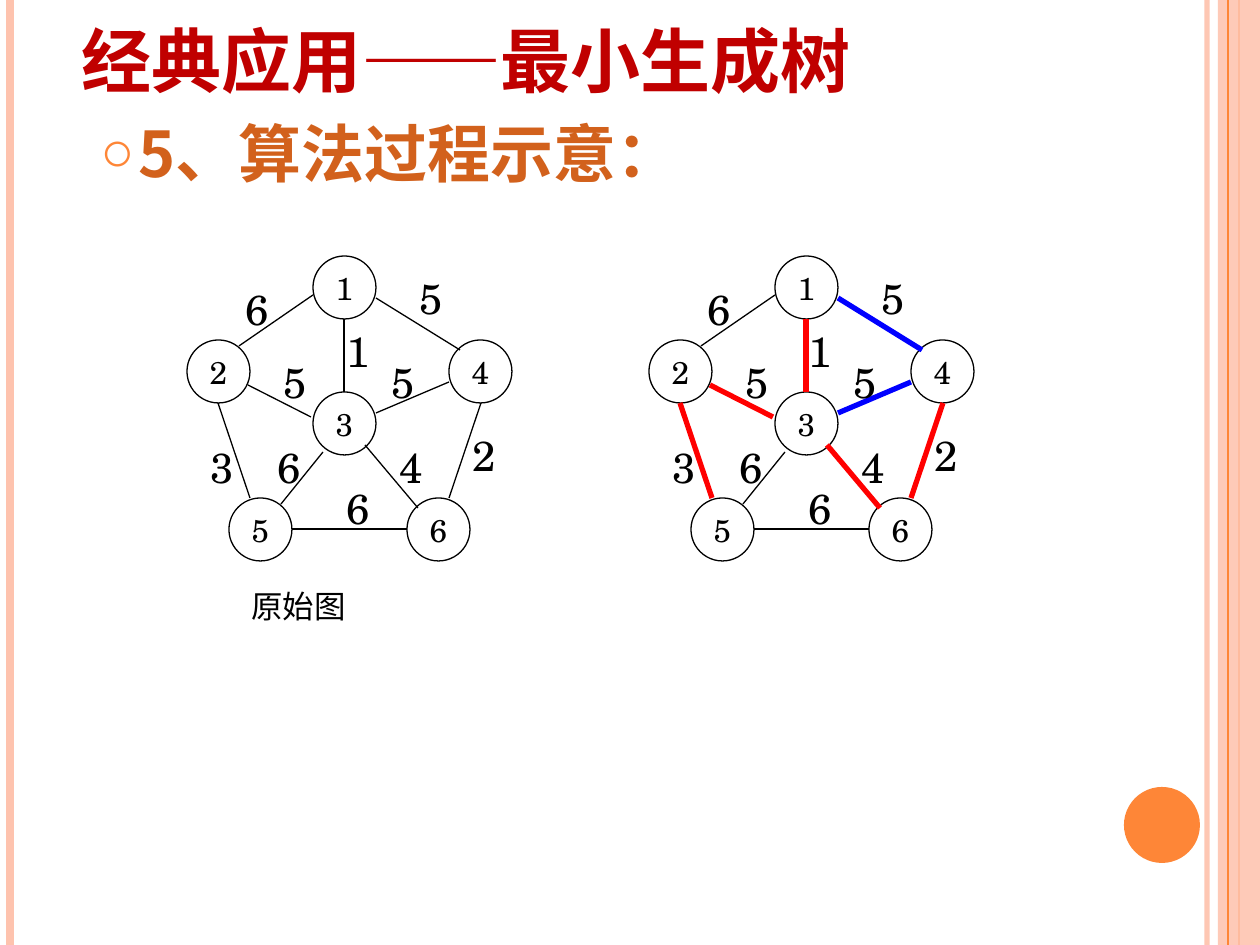
from lxml import etree
from pptx import Presentation
from pptx.dml.color import RGBColor
from pptx.enum.shapes import MSO_CONNECTOR, MSO_SHAPE
from pptx.enum.text import MSO_ANCHOR, MSO_AUTO_SIZE, PP_ALIGN
from pptx.oxml.ns import qn
from pptx.util import Emu, Pt

STRAIGHT = MSO_CONNECTOR.STRAIGHT
OVAL, RECTANGLE = MSO_SHAPE.OVAL, MSO_SHAPE.RECTANGLE
MIDDLE, BOTTOM = MSO_ANCHOR.MIDDLE, MSO_ANCHOR.BOTTOM
GROW = MSO_AUTO_SIZE.SHAPE_TO_FIT_TEXT
CENTER = PP_ALIGN.CENTER

SERIF, SANS, CHINESE = "TeX Gyre Schola", "Arial", "Noto Sans CJK SC"
BLACK = RGBColor(0x00, 0x00, 0x00)
RED = RGBColor(0xFF, 0x00, 0x00)
BLUE = RGBColor(0x00, 0x00, 0xFF)
DARK_RED = RGBColor(0xC0, 0x00, 0x00)
BROWN = RGBColor(0xD2, 0x61, 0x1C)
ORANGE = RGBColor(0xFE, 0x86, 0x37)
PEACH = RGBColor(0xFE, 0xC3, 0xAE)

PX_PER_INCH = 126
WIDTH, HEIGHT = 1260, 945
NODE_SIZE = 63
LABEL_WIDTH, LABEL_HEIGHT = 42, 63

# Node: offset of its box within the graph
NODES = {
    5: (42, 242), 6: (220, 242), 4: (262, 84),
    2: (0, 84), 3: (126, 136), 1: (126, 0),
}
# Edge between two nodes: start, end, weight, offset of the weight label
EDGES = {
    (1, 2): ((52, 90), (126, 39), 6, (46, 21)),
    (3, 5): ((94, 248), (136, 196), 6, (78, 179)),
    (3, 4): ((189, 157), (262, 126), 5, (192, 94)),
    (2, 3): ((61, 129), (124, 161), 5, (84, 94)),
    (1, 4): ((189, 42), (273, 94), 5, (220, 10)),
    (4, 6): ((262, 242), (294, 147), 2, (273, 167)),
    (2, 5): ((63, 242), (31, 147), 3, (11, 179)),
    (5, 6): ((105, 273), (220, 273), 6, (147, 220)),
    (1, 3): ((157, 136), (157, 63), 1, (147, 63)),
    (3, 6): ((178, 189), (231, 252), 4, (200, 179)),
}
TREE_COLORS = {
    (1, 3): RED, (2, 3): RED, (2, 5): RED, (3, 6): RED, (4, 6): RED,
    (1, 4): BLUE, (3, 4): BLUE,
}


def px(*lengths):
    return [Emu(round(length * 914400 / PX_PER_INCH)) for length in lengths]


def set_alpha(fill_parent, percent):
    color = fill_parent.find(".//" + qn("a:srgbClr"))
    etree.SubElement(color, qn("a:alpha"), val=str(percent * 1000))


def format_run(run, size, color, bold=False, font=SERIF):
    run.font.size = Pt(size)
    run.font.bold = bold
    run.font.color.rgb = color
    run.font.name = font
    east_asian = etree.Element(qn("a:ea"), typeface=CHINESE)
    run.font._element.find(qn("a:latin")).addnext(east_asian)


def add_line(slide, start, end, color, weight):
    line = slide.shapes.add_connector(STRAIGHT, *px(*start, *end))
    line.line.color.rgb = color
    line.line.width = Pt(weight)
    etree.SubElement(line._element.spPr, qn("a:effectLst"))
    return line


def add_solid(slide, kind, box, color):
    shape = slide.shapes.add_shape(kind, *px(*box))
    shape.shadow.inherit = False
    shape.fill.solid()
    shape.fill.fore_color.rgb = color
    shape.line.fill.background()
    return shape


def add_text(slide, box, text, size):
    text_box = slide.shapes.add_textbox(*px(*box))
    text_frame = text_box.text_frame
    text_frame.word_wrap = True
    text_frame.auto_size = GROW
    text_frame.text = text
    format_run(text_frame.paragraphs[0].runs[0], size, BLACK)


def add_node(slide, left, top, number):
    shape = slide.shapes.add_shape(OVAL, *px(left, top, NODE_SIZE, NODE_SIZE))
    shape.shadow.inherit = False
    shape.fill.background()
    shape.line.color.rgb = BLACK
    shape.line.width = Pt(0.75)
    text_frame = shape.text_frame
    text_frame.word_wrap = False
    text_frame.vertical_anchor = MIDDLE
    text_frame.text = str(number)
    paragraph = text_frame.paragraphs[0]
    paragraph.alignment = CENTER
    format_run(paragraph.runs[0], 18, BLACK)


def add_frame(slide):
    """Side stripes and the orange dot."""
    def stripe(x, color, weight):
        return add_line(slide, (x, 0), (x, HEIGHT), color, weight)

    set_alpha(stripe(1207, PEACH, 3)._element.spPr, 93)
    stripe(10, PEACH, 4.5)
    stripe(1239, ORANGE, 1.5)
    band = add_solid(slide, RECTANGLE, (1218, 0, WIDTH - 1218, HEIGHT), PEACH)
    set_alpha(band._element.spPr, 87)
    stripe(1228, ORANGE, 0.75)
    add_solid(slide, OVAL, (1124, 787, 76, 76), ORANGE)


def add_title(slide, box):
    text_frame = slide.shapes.add_textbox(*px(*box)).text_frame
    text_frame.word_wrap = True
    text_frame.vertical_anchor = BOTTOM
    paragraph = text_frame.paragraphs[0]
    for text, font in (("经典应用", SERIF), ("——", SANS), ("最小生成树", SERIF)):
        run = paragraph.add_run()
        run.text = text
        format_run(run, 40, DARK_RED, bold=True, font=font)


def add_heading(slide, box):
    text_frame = slide.shapes.add_textbox(*px(*box)).text_frame
    text_frame.word_wrap = True
    text_frame.text = "5、算法过程示意："
    paragraph = text_frame.paragraphs[0]
    indent = px(38)[0]
    properties = paragraph._p.get_or_add_pPr()
    properties.set("marL", str(indent))
    properties.set("indent", str(-indent))
    bullet_color = etree.SubElement(properties, qn("a:buClr"))
    etree.SubElement(bullet_color, qn("a:srgbClr"), val=str(ORANGE))
    etree.SubElement(properties, qn("a:buSzPct"), val="90000")
    etree.SubElement(properties, qn("a:buFont"), typeface=SANS)
    etree.SubElement(properties, qn("a:buChar"), char="○")
    format_run(paragraph.runs[0], 36, BROWN, bold=True, font=CHINESE)


def add_graph(slide, left, top, edge_colors):
    """Weighted graph; the edges in edge_colors are drawn bold."""
    def place(offset):
        return left + offset[0], top + offset[1]

    for number, offset in NODES.items():
        add_node(slide, *place(offset), number)
    for edge, (start, end, _, _) in EDGES.items():
        color = edge_colors.get(edge, BLACK)
        weight = 3 if edge in edge_colors else 0.75
        add_line(slide, place(start), place(end), color, weight)
    for _, _, weight, offset in EDGES.values():
        box = (*place(offset), LABEL_WIDTH, LABEL_HEIGHT)
        add_text(slide, box, str(weight), 24)


def main():
    presentation = Presentation()
    presentation.slide_width, presentation.slide_height = px(WIDTH, HEIGHT)
    slide = presentation.slides.add_slide(presentation.slide_layouts[6])
    add_frame(slide)
    add_title(slide, (69, -49, 1029, 157))
    add_heading(slide, (88, 108, 819, 105))
    # Original graph, then its spanning tree
    add_graph(slide, 187, 256, {})
    add_text(slide, (239, 581, 220, 50), "原始图", 18)
    add_graph(slide, 649, 256, TREE_COLORS)
    presentation.save("out.pptx")


if __name__ == "__main__":
    main()
